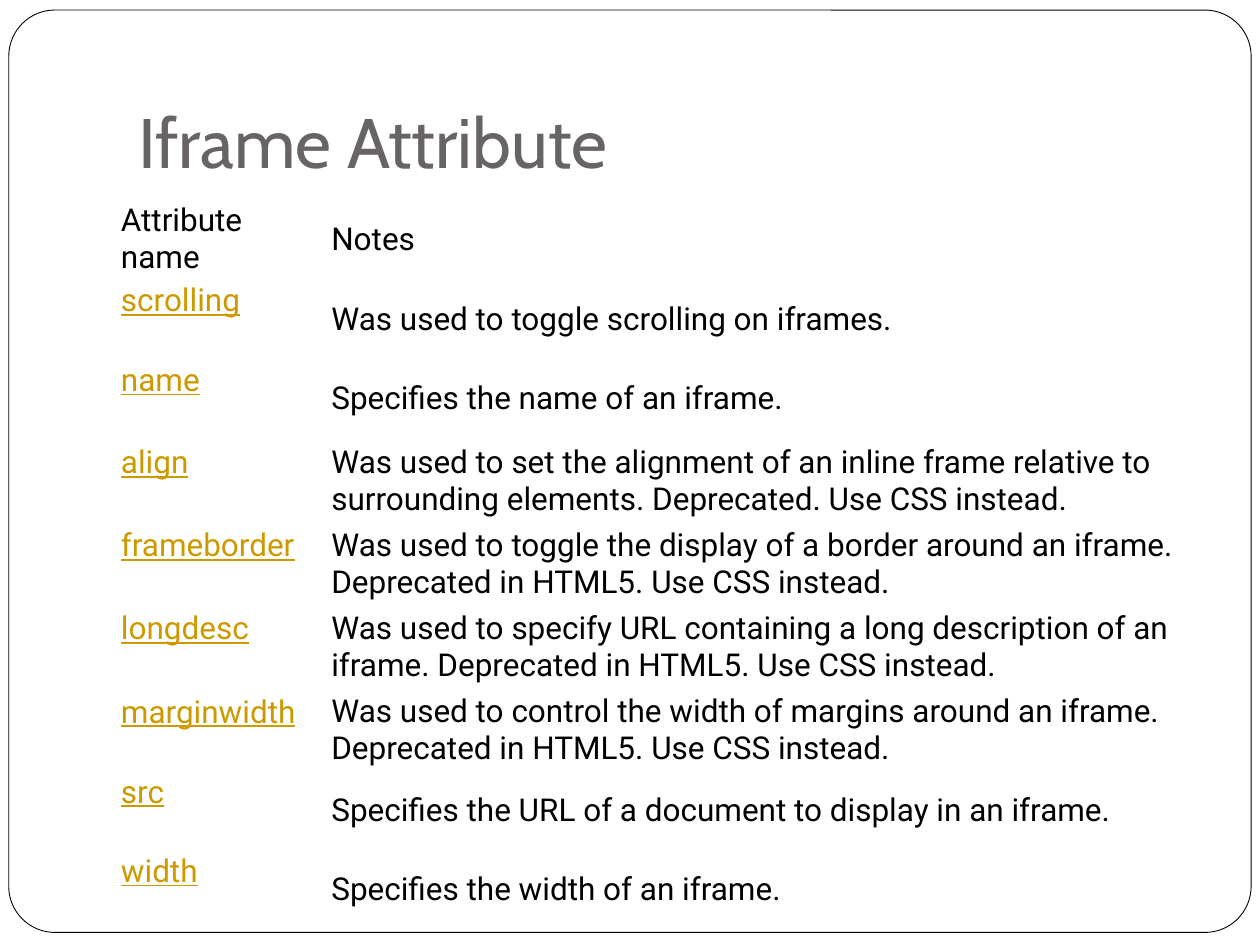
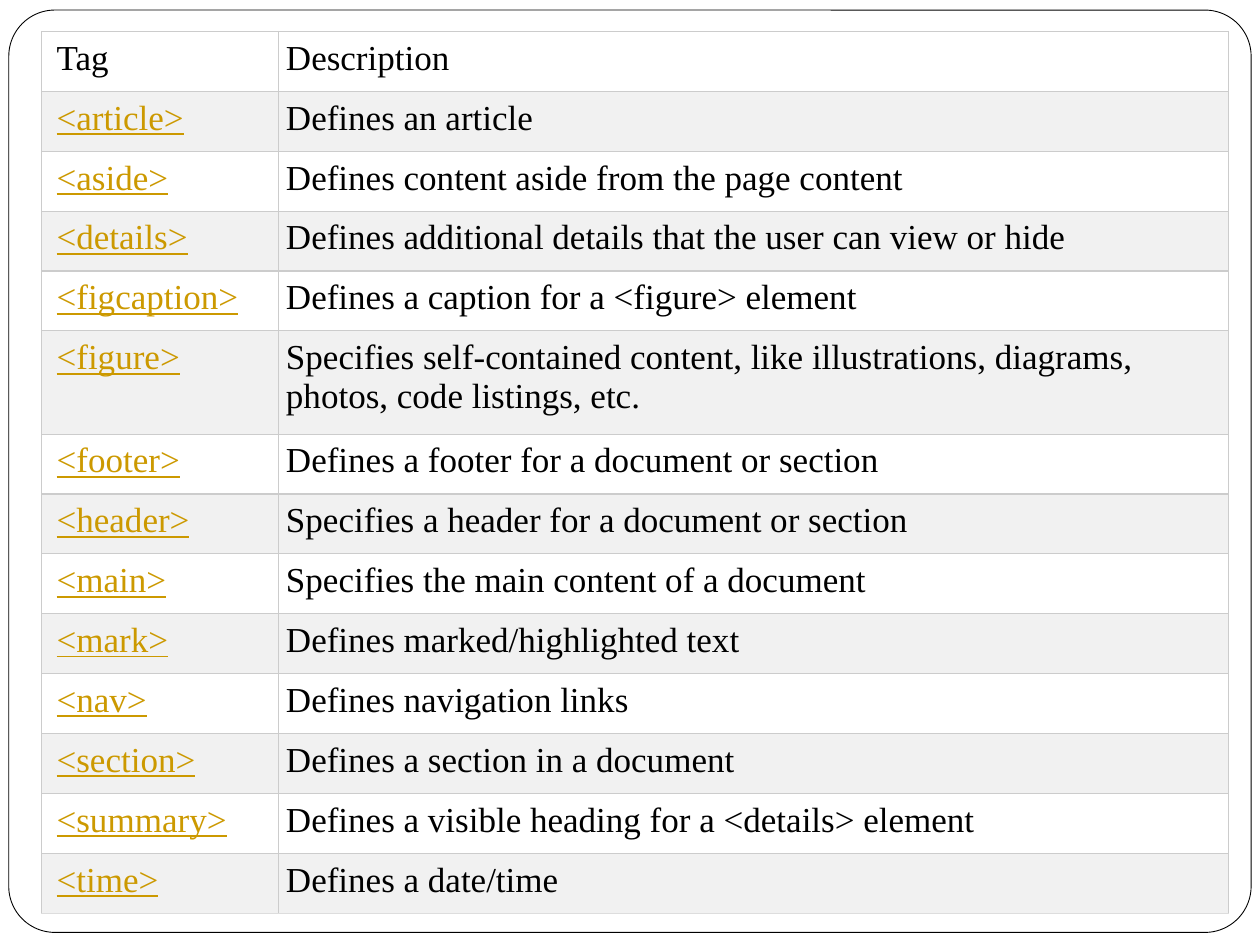
from dataclasses import dataclass

import pptx
import pptx.dml.color
import pptx.enum.shapes
import pptx.enum.text
import pptx.oxml
import pptx.oxml.ns
import pptx.util

Inches = pptx.util.Inches
Pt = pptx.util.Pt
Anchor = pptx.enum.text.MSO_ANCHOR

COLORS = {
    "text": "000000",
    "title": "696464",
    "link": "CC9900",
    "paper": "FFFFFF",
    "band": "F1F1F1",
    "grid": "CCCCCC",
    "foot": "DDDDDD",
}


@dataclass
class Grid:
    """A two-column table; lengths are in inches."""
    left: float
    top: float
    cols: tuple[float, float]
    heights: list[float]
    rows: list[tuple[str, str]]
    font: str
    size: int
    pads: tuple[float, float]  # left inset of each column
    side: float                # right inset
    edge: float                # top and bottom inset
    anchor: Anchor
    lift: float = 0            # extra bottom inset that raises the links
    ruled: bool = False        # grey borders and banded rows


def color(key: str) -> pptx.dml.color.RGBColor:
    return pptx.dml.color.RGBColor.from_string(COLORS[key])


def style(par, name: str, size: int, key: str) -> None:
    par.font.name = name
    par.font.size = Pt(size)
    par.font.color.rgb = color(key)


def border(cell, last: bool) -> None:
    props = cell._tc.get_or_add_tcPr()
    for side in "LRTB":
        key = "foot" if last and side == "B" else "grid"
        props.append(pptx.oxml.parse_xml(
            f'<a:ln{side} {pptx.oxml.ns.nsdecls("a")} w="{Pt(0.75)}"><a:solidFill>'
            f'<a:srgbClr val="{COLORS[key]}"/></a:solidFill></a:ln{side}>'))


def add_frame(slide) -> None:
    frame = slide.shapes.add_shape(
        pptx.enum.shapes.MSO_SHAPE.ROUNDED_RECTANGLE,
        Inches(0.07), Inches(0.08), Inches(9.86), Inches(7.32))
    frame.adjustments[0] = 0.05
    frame.shadow.inherit = False
    frame.fill.solid()
    frame.fill.fore_color.rgb = color("paper")
    frame.line.color.rgb = color("text")
    frame.line.width = Pt(0.5)


def add_title(slide, text: str) -> None:
    box = slide.shapes.add_textbox(Inches(1), Inches(0.3), Inches(8.5), Inches(1.25))
    frame = box.text_frame
    frame.word_wrap = True
    frame.vertical_anchor = Anchor.BOTTOM
    frame.margin_bottom = Inches(0.1)
    frame.text = text
    style(frame.paragraphs[0], "Cabin", 40, "title")


def add_grid(slide, grid: Grid) -> None:
    table = slide.shapes.add_table(
        len(grid.rows), len(grid.cols), Inches(grid.left), Inches(grid.top),
        Inches(sum(grid.cols)), Inches(sum(grid.heights))).table
    table.first_row = table.horz_banding = False
    for col, width in zip(table.columns, grid.cols):
        col.width = Inches(width)
    for r, (texts, height) in enumerate(zip(grid.rows, grid.heights)):
        table.rows[r].height = Inches(height)
        for c, text in enumerate(texts):
            cell = table.cell(r, c)
            link = r > 0 and c == 0
            cell.text = text
            cell.vertical_anchor = grid.anchor
            cell.margin_left = Inches(grid.pads[c])
            cell.margin_right = Inches(grid.side)
            cell.margin_top = Inches(grid.edge)
            cell.margin_bottom = Inches(grid.edge + (grid.lift if link else 0))
            par = cell.text_frame.paragraphs[0]
            style(par, grid.font, grid.size, "link" if link else "text")
            par.font.underline = link
            if grid.ruled:
                border(cell, r == len(grid.rows) - 1)
                cell.fill.solid()
                cell.fill.fore_color.rgb = color("band" if r % 2 else "paper")
            else:
                cell.fill.background()


# Iframe attributes: every row holds two lines, links sit on the first
ATTRS = [
    ("Attribute name", "Notes"),
    ("scrolling", "Was used to toggle scrolling on iframes."),
    ("name", "Specifies the name of an iframe."),
    ("align", "Was used to set the alignment of an inline frame relative to "
              "surrounding elements. Deprecated. Use CSS instead."),
    ("frameborder", "Was used to toggle the display of a border around an iframe. "
                    "Deprecated in HTML5. Use CSS instead."),
    ("longdesc", "Was used to specify URL containing a long description of an "
                 "iframe. Deprecated in HTML5. Use CSS instead."),
    ("marginwidth", "Was used to control the width of margins around an iframe. "
                    "Deprecated in HTML5. Use CSS instead."),
    ("src", "Specifies the URL of a document to display in an iframe."),
    ("width", "Specifies the width of an iframe."),
]
TALL = {"align", "longdesc"}

# Semantic tags: equal rows, except the one that wraps
TAGS = [
    ("Tag", "Description"),
    ("<article>", "Defines an article"),
    ("<aside>", "Defines content aside from the page content"),
    ("<details>", "Defines additional details that the user can view or hide"),
    ("<figcaption>", "Defines a caption for a <figure> element"),
    ("<figure>", "Specifies self-contained content, like illustrations, diagrams, "
                 "photos, code listings, etc."),
    ("<footer>", "Defines a footer for a document or section"),
    ("<header>", "Specifies a header for a document or section"),
    ("<main>", "Specifies the main content of a document"),
    ("<mark>", "Defines marked/highlighted text"),
    ("<nav>", "Defines navigation links"),
    ("<section>", "Defines a section in a document"),
    ("<summary>", "Defines a visible heading for a <details> element"),
    ("<time>", "Defines a date/time"),
]
WRAP = 0.82
LINE = (7 - WRAP) / (len(TAGS) - 1)

attr_grid = Grid(
    left=0.92, top=1.58, cols=(1.67, 6.92), rows=ATTRS,
    heights=[0.68 if name in TALL else 0.62 for name, _ in ATTRS],
    font="Roboto", size=18, pads=(0.04, 0.04), side=0.04, edge=0.02,
    anchor=Anchor.MIDDLE, lift=0.29)
tag_grid = Grid(
    left=0.33, top=0.25, cols=(1.88, 7.54), rows=TAGS,
    heights=[WRAP if tag == "<figure>" else LINE for tag, _ in TAGS],
    font="Times New Roman", size=20, pads=(0.12, 0.06), side=0.06, edge=0.06,
    anchor=Anchor.TOP, ruled=True)

deck = pptx.Presentation()
deck.slide_width = Inches(10)
deck.slide_height = Inches(7.5)

for title, grid in (("Iframe Attribute", attr_grid), (None, tag_grid)):
    slide = deck.slides.add_slide(deck.slide_layouts[6])
    add_frame(slide)
    if title:
        add_title(slide, title)
    add_grid(slide, grid)

deck.save("out.pptx")
